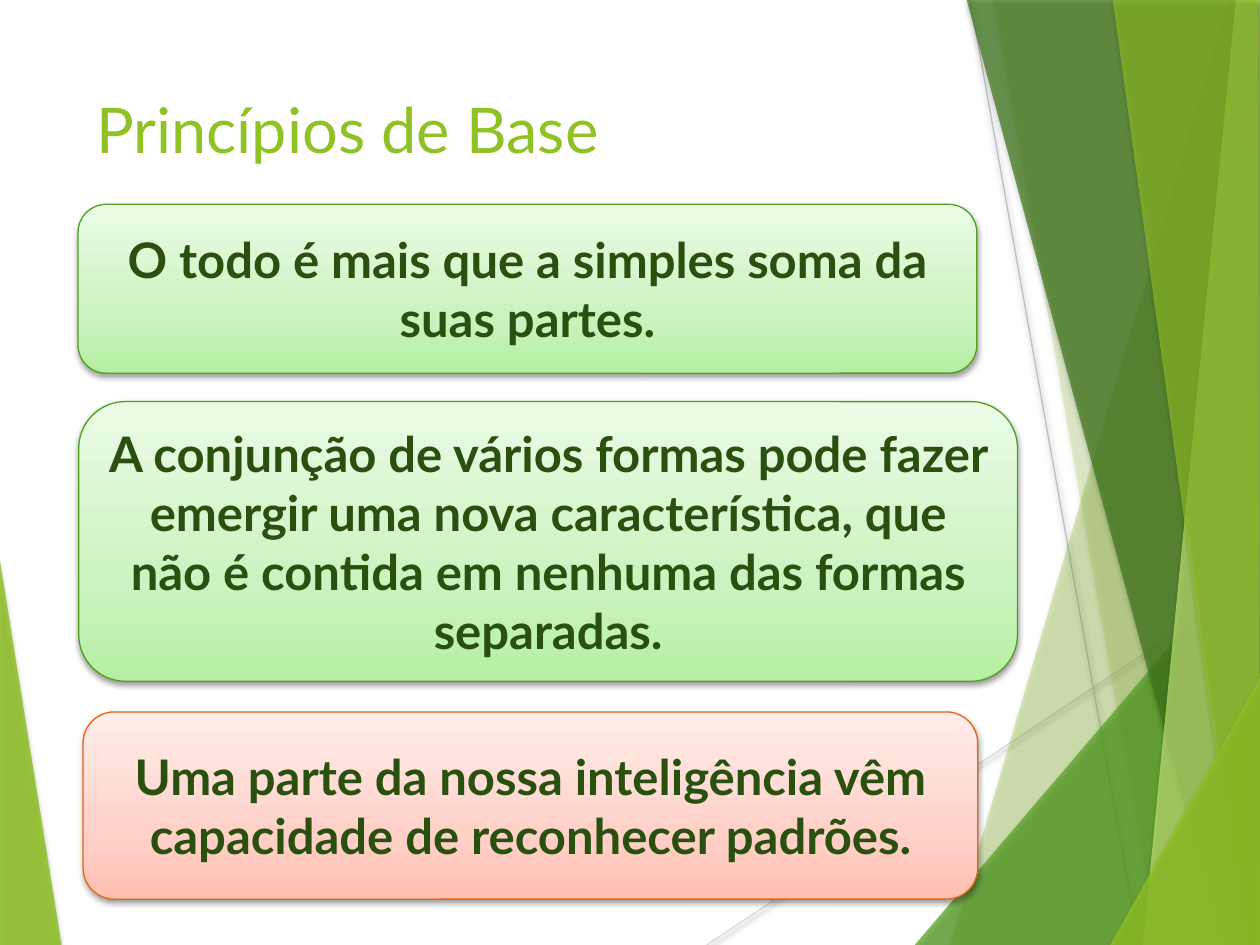
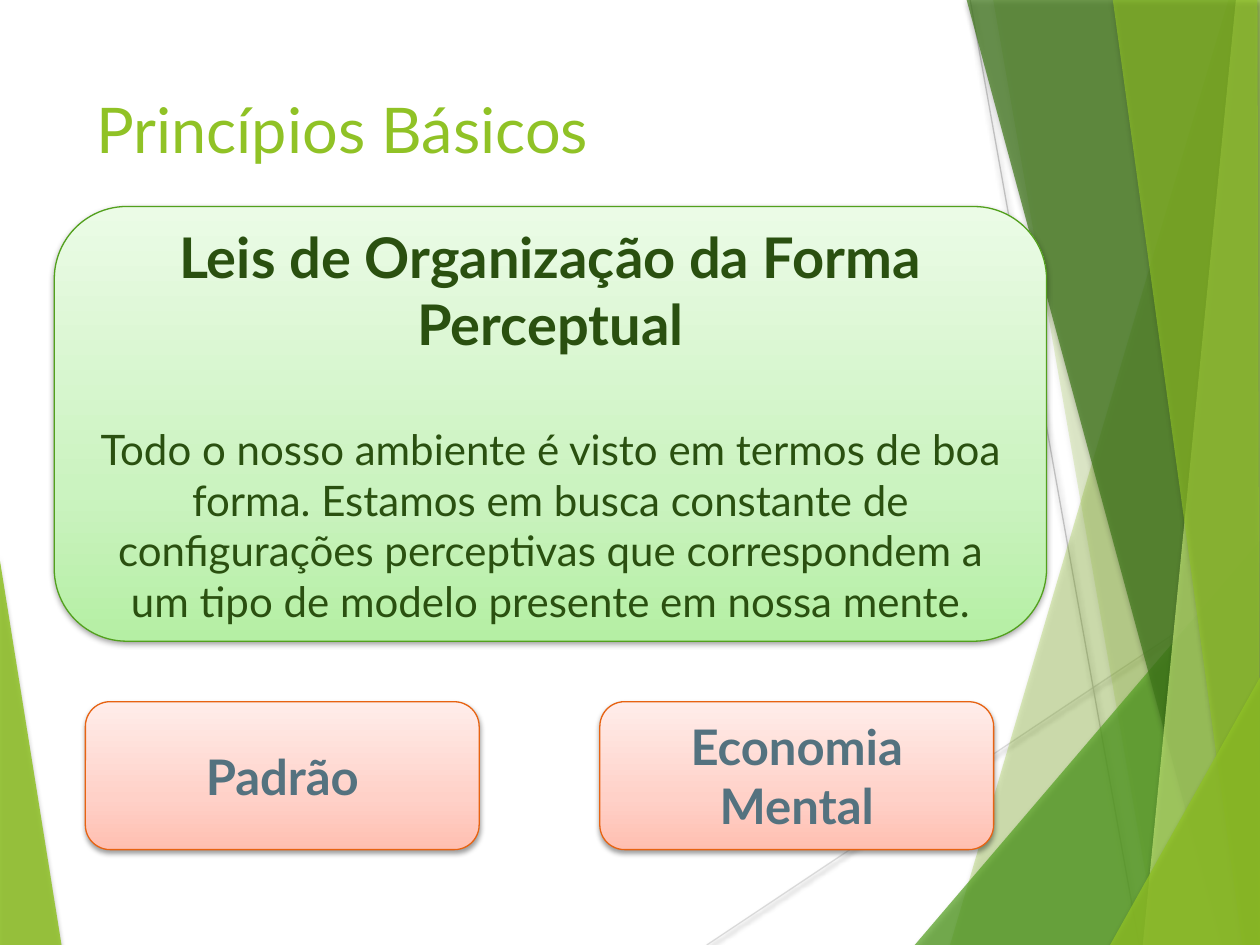
"""Builds two slides on Gestalt principles with faceted green edges and gradient cards."""
from copy import deepcopy

from lxml import etree
from pptx import Presentation
from pptx.dml.color import RGBColor
from pptx.enum import shapes, text
from pptx.oxml.ns import qn
from pptx.util import Pt

WIDTH, HEIGHT = 720, 540
FONT = "Lato"
LIME = RGBColor(0x90, 0xC2, 0x26)
GREEN = RGBColor(0x54, 0xA0, 0x21)
FOREST = RGBColor(0x3F, 0x78, 0x19)
PALE_LIME = RGBColor(0xC0, 0xE4, 0x74)
LIGHT_GRAY = RGBColor(0xD9, 0xD9, 0xD9)
GRAY = RGBColor(0xBF, 0xBF, 0xBF)
DARK_GREEN = RGBColor(0x2A, 0x50, 0x10)
SLATE = RGBColor(0x54, 0x72, 0x7F)

GREEN_CARD = {
    "outline": RGBColor(0x52, 0xA0, 0x1D),
    "stops": [(0, RGBColor(0xB5, 0xEF, 0xA4)), (0.35, RGBColor(0xCB, 0xF3, 0xC0)),
              (1, RGBColor(0xEB, 0xFB, 0xE6))],
}
RED_CARD = {
    "outline": RGBColor(0xE7, 0x63, 0x12),
    "stops": [(0, RGBColor(0xFF, 0xBF, 0xB1)), (0.35, RGBColor(0xFF, 0xD1, 0xC8)),
              (1, RGBColor(0xFF, 0xED, 0xEA))],
}
FACET_SHADOW = {"opacity": 35, "blur": 3, "distance": 2}
CARD_SHADOW = {"opacity": 38, "blur": 3.1, "distance": 1.6}

LEFT_FACET = (LIME, 85, [(-0.7, 316), (35.3, 540.7), (-0.7, HEIGHT)])
RIGHT_FACETS = [
    (LIME, 30, [(702, 0), (542.9, HEIGHT), (721, HEIGHT), (721, 0)]),
    (LIME, 20, [(567.4, -0.7), (661.7, HEIGHT), (721, HEIGHT), (721, -0.7)]),
    (GREEN, 72, [(522.7, HEIGHT), (720, 309), (721, HEIGHT)]),
    (FOREST, 70, [(552.2, -0.7), (698.4, HEIGHT), (721, HEIGHT), (721, -0.7)]),
    (PALE_LIME, 70, [(706.3, -0.7), (653, HEIGHT), (721, HEIGHT), (720, -0.7)]),
    (LIME, 65, [(635.8, -0.7), (710, HEIGHT), (720, HEIGHT), (718.6, -0.7)]),
    (LIME, 80, [(634.3, HEIGHT), (721, 385.2), (721, HEIGHT)]),
]
RAYS = [(LIGHT_GRAY, (403.9, HEIGHT, 720.7, 329)), (GRAY, (554.4, 0, 651, HEIGHT))]

TITLE_BOX = (48, 48, 500, 104)
PARAGRAPH_GAP = 38.4
SLIDES = [
    ("Princípios de Base", [
        (GREEN_CARD, (44.6, 116.8, 513.6, 96.5), DARK_GREEN,
         [("O todo é mais que a simples soma da suas partes.", 28, True)]),
        (GREEN_CARD, (45, 229.5, 536.4, 159.8), DARK_GREEN,
         [("A conjunção de vários formas pode fazer emergir uma nova característica, "
           "que não é contida em nenhuma das formas separadas.", 28, True)]),
        (RED_CARD, (47.5, 406.8, 511.2, 107), DARK_GREEN,
         [("Uma parte da nossa inteligência vêm capacidade de reconhecer padrões.", 28, True)]),
    ]),
    ("Princípios Básicos", [
        (GREEN_CARD, (31, 118, 567, 248.4), DARK_GREEN,
         [("Leis de Organização da Forma Perceptual", 32, True),
          ("Todo o nosso ambiente é visto em termos de boa forma. Estamos em busca "
           "constante de configurações perceptivas que correspondem a um tipo de modelo "
           "presente em nossa mente.", 24, False)]),
        (RED_CARD, (48.8, 401, 225, 84.5), SLATE, [("Padrão", 28, True)]),
        (RED_CARD, (342.8, 401, 225, 84.5), SLATE, [("Economia Mental", 28, True)]),
    ]),
]


def points(values):
    return [Pt(value) for value in values]


def add_shadow(shape, opacity, blur, distance):
    effects = etree.SubElement(shape._element.spPr, qn("a:effectLst"))
    shadow = etree.SubElement(effects, qn("a:outerShdw"), blurRad=str(Pt(blur)),
                              dist=str(Pt(distance)), dir="5400000", rotWithShape="0")
    color = etree.SubElement(shadow, qn("a:srgbClr"), val="000000")
    etree.SubElement(color, qn("a:alpha"), val=str(opacity * 1000))


def add_facet(slide, color, opacity, corners):
    start, *others = [points(corner) for corner in corners]
    builder = slide.shapes.build_freeform(*start, scale=1.0)
    builder.add_line_segments(others)
    facet = builder.convert_to_shape()
    facet.fill.solid()
    facet.fill.fore_color.rgb = color
    fill_color = facet._element.spPr.find(qn("a:solidFill"))[0]
    etree.SubElement(fill_color, qn("a:alpha"), val=str(opacity * 1000))
    facet.line.fill.background()
    add_shadow(facet, **FACET_SHADOW)


def add_ray(slide, color, ends):
    ray = slide.shapes.add_connector(shapes.MSO_CONNECTOR.STRAIGHT, *points(ends))
    ray.line.color.rgb = color
    ray.line.width = Pt(0.75)
    add_shadow(ray, **CARD_SHADOW)


def add_backdrop(slide):
    add_facet(slide, *LEFT_FACET)
    for ray in RAYS:
        add_ray(slide, *ray)
    for facet in RIGHT_FACETS:
        add_facet(slide, *facet)


def set_font(paragraph, size, color, bold=False):
    paragraph.font.name = FONT
    paragraph.font.size = Pt(size)
    paragraph.font.bold = bold
    paragraph.font.color.rgb = color


def add_title(slide, title):
    frame = slide.shapes.add_textbox(*points(TITLE_BOX)).text_frame
    frame.word_wrap = True
    frame.text = title
    set_font(frame.paragraphs[0], 36, LIME)


def fill_gradient(shape, stops):
    shape.fill.gradient()
    shape.fill.gradient_angle = 90
    stop_list = next(shape._element.spPr.iter(qn("a:gsLst")))
    stop_list.insert(1, deepcopy(stop_list[0]))
    for stop, (position, color) in zip(shape.fill.gradient_stops, stops):
        stop.position = position
        stop.color.rgb = color


def add_card(slide, style, box, color, paragraphs):
    card = slide.shapes.add_shape(shapes.MSO_SHAPE.ROUNDED_RECTANGLE, *points(box))
    fill_gradient(card, style["stops"])
    card.line.color.rgb = style["outline"]
    card.line.width = Pt(0.75)
    add_shadow(card, **CARD_SHADOW)
    frame = card.text_frame
    frame.word_wrap = True
    frame.vertical_anchor = text.MSO_ANCHOR.MIDDLE
    for index, (words, size, bold) in enumerate(paragraphs):
        paragraph = frame.add_paragraph() if index else frame.paragraphs[0]
        paragraph.text = words
        paragraph.alignment = text.PP_ALIGN.CENTER
        if index:
            paragraph.space_before = Pt(PARAGRAPH_GAP)
        set_font(paragraph, size, color, bold)


def main():
    presentation = Presentation()
    presentation.slide_width, presentation.slide_height = Pt(WIDTH), Pt(HEIGHT)
    for title, cards in SLIDES:
        slide = presentation.slides.add_slide(presentation.slide_layouts[6])
        add_backdrop(slide)
        add_title(slide, title)
        for card in cards:
            add_card(slide, *card)
    presentation.save("out.pptx")


if __name__ == "__main__":
    main()
